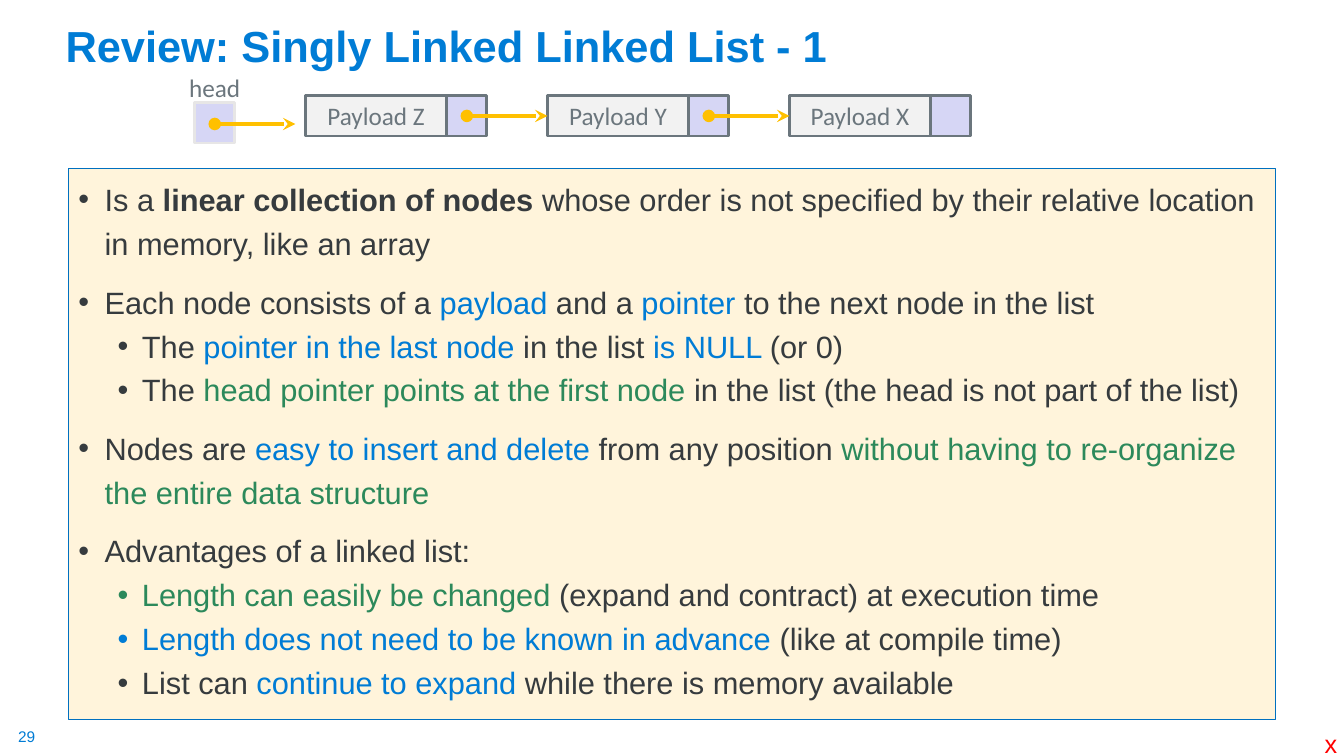
from lxml import etree
from pptx import Presentation
from pptx.dml.color import RGBColor
from pptx.enum import shapes, text
from pptx.oxml.ns import qn
from pptx.util import Inches, Pt

BLUE, GREEN, DARK, GREY = "007CD5", "2C895B", "363B3E", "6B767D"
LILAC, GOLD = "D6D6F5", "FFC000"

prs = Presentation()
prs.slide_width, prs.slide_height = Inches(13.33), Inches(7.5)
s = prs.slides.add_slide(prs.slide_layouts[5])


def rgb(color):
    return RGBColor.from_string(color)


def add_box(x, y, w, h, label="", size=18, font="Calibri", color=GREY,
            fill=None, line=None, line_width=2, align=text.PP_ALIGN.CENTER):
    """Add a filled rectangle, or a plain text box when no fill is given."""
    place = [Inches(v) for v in (x, y, w, h)]
    if fill:
        sp = s.shapes.add_shape(shapes.MSO_SHAPE.RECTANGLE, *place)
        sp.shadow.inherit = False
        sp.fill.solid()
        sp.fill.fore_color.rgb = rgb(fill)
        sp.line.color.rgb = rgb(line)
        sp.line.width = Pt(line_width)
    else:
        sp = s.shapes.add_textbox(*place)
    if label:
        tf = sp.text_frame
        tf.text = label
        p = tf.paragraphs[0]
        p.alignment = align
        f = p.runs[0].font
        f.size, f.name, f.color.rgb = Pt(size), font, rgb(color)
    return sp


# Title
title = s.shapes.title
title.left, title.top = Inches(0.55), Inches(0.13)
title.width, title.height = Inches(11.5), Inches(0.63)
tf = title.text_frame
tf.text = "Review: Singly Linked Linked List - 1"
tf.vertical_anchor = text.MSO_ANCHOR.BOTTOM
p = tf.paragraphs[0]
p.alignment, p.line_spacing = text.PP_ALIGN.LEFT, 0.9
f = p.runs[0].font
f.size, f.name, f.bold, f.color.rgb = Pt(31), "Arial", True, rgb(BLUE)

# Bullet panel: (level, [(text, colour, bold)])
bullets = [
    (0, [("Is a ", DARK, False), ("linear collection of nodes ", DARK, True),
         ("whose order is not specified by their relative location in memory, "
          "like an array", DARK, False)]),
    (0, [("Each node consists of a ", DARK, False), ("payload", BLUE, False),
         (" and a ", DARK, False), ("pointer", BLUE, False),
         (" to the next node in the list", DARK, False)]),
    (1, [("The ", DARK, False), ("pointer in the last node ", BLUE, False),
         ("in the list ", DARK, False), ("is NULL ", BLUE, False),
         ("(or 0)", DARK, False)]),
    (1, [("The ", DARK, False),
         ("head pointer points at the first node ", GREEN, False),
         ("in the list (the head is not part of the list)", DARK, False)]),
    (0, [("Nodes are ", DARK, False), ("easy to insert and delete ", BLUE, False),
         ("from any position ", DARK, False),
         ("without having to re-organize the entire data structure", GREEN, False)]),
    (0, [("Advantages of a linked list:", DARK, False)]),
    (1, [("Length can easily be changed ", GREEN, False),
         ("(expand and contract) at execution time", DARK, False)]),
    (1, [("Length does not need to be known in advance ", BLUE, False),
         ("(like at compile time)", DARK, False)]),
    (1, [("List can ", DARK, False), ("continue to expand ", BLUE, False),
         ("while there is memory available", DARK, False)]),
]
# Per level: left margin, hanging indent, line spacing, space before
levels = [(0.26, -0.26, 1.2, 10), (0.63, -0.24, 1.0, 5)]
panel = add_box(0.68, 1.67, 11.97, 5.47, fill="FFF4DB", line="0070C0", line_width=0.75)
tf = panel.text_frame
tf.word_wrap = True
tf.vertical_anchor = text.MSO_ANCHOR.TOP
for i, (level, runs) in enumerate(bullets):
    margin, indent, spacing, before = levels[level]
    p = tf.add_paragraph() if i else tf.paragraphs[0]
    pPr = p._p.get_or_add_pPr()
    pPr.set("marL", str(Inches(margin)))
    pPr.set("indent", str(Inches(indent)))
    etree.SubElement(pPr, qn("a:buFont"), typeface="Arial")
    etree.SubElement(pPr, qn("a:buChar"), char="•")
    p.level, p.alignment, p.line_spacing = level, text.PP_ALIGN.LEFT, spacing
    p.space_before = Pt(before if i else 0)
    for words, color, bold in runs:
        r = p.add_run()
        r.text = words
        f = r.font
        f.size, f.name, f.bold, f.color.rgb = Pt(22), "Arial", bold, rgb(color)

# List nodes: payload cell and pointer cell
nodes = []
for i, letter in enumerate("ZYX"):
    x = 3.03 + 2.4 * i
    nodes.append(add_box(x, 0.95, 1.4, 0.4, f"Payload {letter}", fill="F2F2F2", line=GREY))
    add_box(x + 1.4, 0.95, 0.4, 0.4, fill=LILAC, line=GREY)

# Head pointer
add_box(1.73, 0.67, 0.8, 0.4, "head")
add_box(1.93, 1.02, 0.4, 0.4, fill=LILAC, line="E7E6E6")

# Pointer arrows: start, height, node reached
for x, y, node in [(4.63, 1.15, nodes[1]), (7.03, 1.15, nodes[2]), (2.13, 1.23, None)]:
    arrow = s.shapes.add_connector(shapes.MSO_CONNECTOR.STRAIGHT, Inches(x), Inches(y),
                                   Inches(x + 0.8), Inches(y))
    if node:
        arrow.end_connect(node, 1)
    arrow.line.color.rgb = rgb(GOLD)
    arrow.line.width = Pt(3)
    ln = arrow.line._get_or_add_ln()
    etree.SubElement(ln, qn("a:headEnd"), type="oval")
    etree.SubElement(ln, qn("a:tailEnd"), type="stealth")
    etree.SubElement(arrow._element.spPr, qn("a:effectLst"))

# Slide number and corner mark
left = text.PP_ALIGN.LEFT
number = add_box(0.18, 7.21, 0.19, 0.19, "29", 11, "Arial", BLUE, align=left)
tf = number.text_frame
tf.margin_left = tf.margin_right = tf.margin_top = tf.margin_bottom = 0
add_box(13.04, 7.18, 0.33, 0.4, "x", 18, "Arial", "FF0000", align=left)

prs.save("out.pptx")
